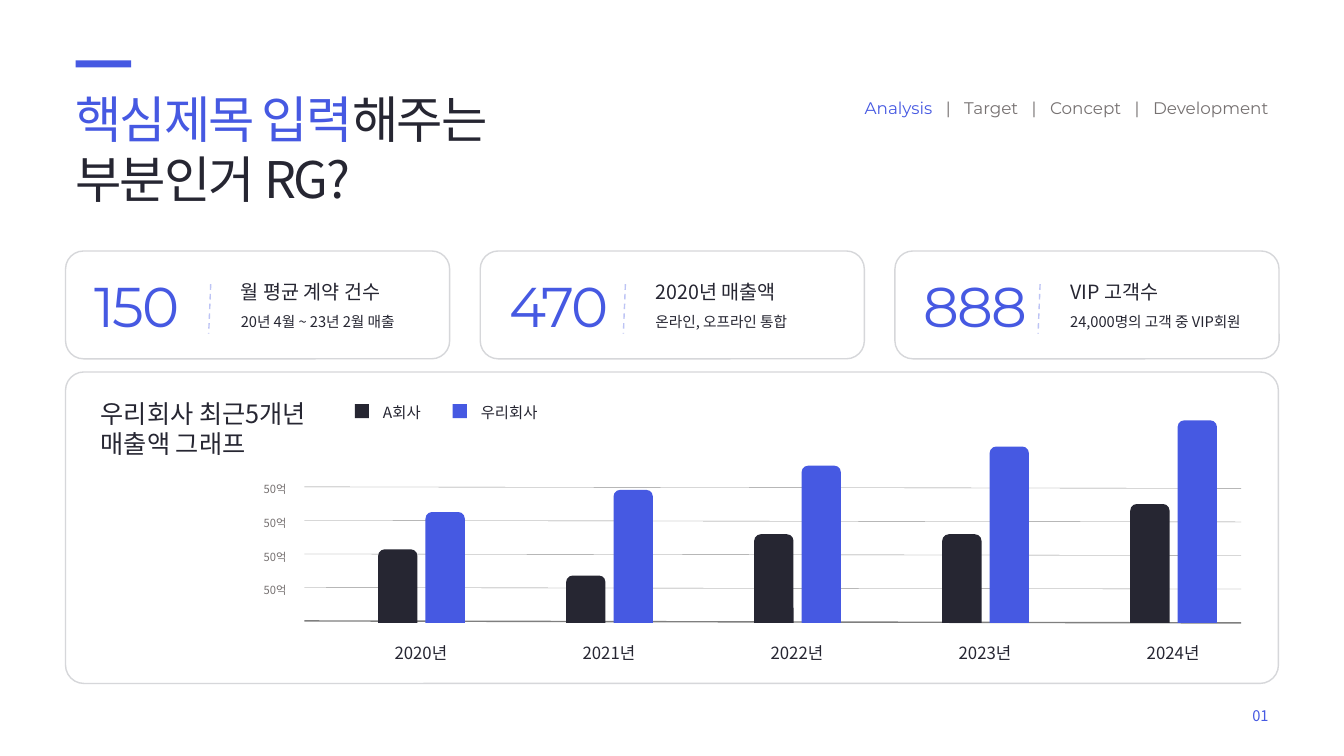
from pptx import Presentation
from pptx.dml.color import RGBColor
from pptx.enum.dml import MSO_LINE
from pptx.enum.shapes import MSO_CONNECTOR, MSO_SHAPE
from pptx.enum.text import MSO_ANCHOR, MSO_AUTO_SIZE, PP_ALIGN
from pptx.oxml.ns import qn
from pptx.util import Inches, Pt
from lxml.etree import SubElement

COLORS = {"blue": "4659E2", "dark": "262632", "gray": "767171", "edge": "D6D7DA",
          "rule": "7F7F7F", "dash": "BDC4F5", "white": "FFFFFF"}
RGB = {name: RGBColor.from_string(code) for name, code in COLORS.items()}
KOREAN = "Noto Sans CJK KR"
LATIN = "Montserrat"

deck = Presentation()
deck.slide_width = Inches(13.33)
deck.slide_height = Inches(7.5)
slide = deck.slides.add_slide(deck.slide_layouts[5])
shapes = slide.shapes


def write(area, lines, size, font=KOREAN, align=PP_ALIGN.LEFT, space=1.0, wrap=False, box=None):
    box = box or shapes.add_textbox(0, 0, 0, 0)
    box.left, box.top, box.width, box.height = [Inches(n) for n in area]
    frame = box.text_frame
    frame.word_wrap = wrap
    frame.auto_size = MSO_AUTO_SIZE.SHAPE_TO_FIT_TEXT
    frame.vertical_anchor = MSO_ANCHOR.TOP
    for row, parts in enumerate(lines):
        para = frame.add_paragraph() if row else frame.paragraphs[0]
        para.alignment = align
        para.line_spacing = space
        for text, color, gap in parts:
            run = para.add_run()
            run.text = text
            run.font.size = Pt(size)
            run.font.name = font
            run.font.color.rgb = RGB[color]
            props = run.font._element
            SubElement(props, qn("a:ea")).set("typeface", font)
            if gap:
                props.set("spc", str(gap))


def draw(kind, area, fill=None, edge=None):
    shape = shapes.add_shape(kind, *[Inches(n) for n in area])
    shape.shadow.inherit = False
    if fill:
        shape.fill.solid()
        shape.fill.fore_color.rgb = RGB[fill]
    else:
        shape.fill.background()
    if edge:
        shape.line.color.rgb = RGB[edge]
        shape.line.width = Pt(1)
    else:
        shape.line.fill.background()
    return shape


write((0.65, 0.82, 4.5, 1.31),
      [[("핵심제목 입력", "blue", -150), ("해주는", "dark", -150)],
       [("부분인거 RG?", "dark", -150)]], 36, box=shapes.title)
draw(MSO_SHAPE.RECTANGLE, (0.75, 0.6, 0.55, 0.07), "blue")

menu = [("Analysis", "blue", 0)]
for topic in ("Target", "Concept", "Development"):
    menu += [(" |", "gray", 640), (" " + topic, "gray", 0)]
write((8.3, 0.82, 4.38, 0.37), [menu], 12, LATIN, PP_ALIGN.RIGHT, 1.5)
write((12.31, 6.96, 0.37, 0.28), [[("01", "blue", 0)]], 10.5, align=PP_ALIGN.RIGHT)

panel = draw(MSO_SHAPE.ROUNDED_RECTANGLE, (0.65, 3.69, 12.03, 3.09), edge="edge")
panel.adjustments[0] = 0.059

rules = [(3.02, 6.16, 12.31, 6.18, "rule", 1)]
for step in range(4):
    high = 4.83 + 0.333 * step
    rules.append((3.02, high, 12.31, high + 0.015, "rule", 0.25))
    write((2.46, high - 0.13, 0.48, 0.27), [[("50억", "gray", 0)]], 8,
          align=PP_ALIGN.RIGHT, space=1.3, wrap=True)

cards = [("150", 1.09, "월 평균 계약 건수", 1.69, "20년 4월 ~ 23년 2월 매출"),
         ("470", 1.27, "2020년 매출액", 1.55, "온라인, 오프라인 통합"),
         ("888", 1.26, "VIP 고객수", 1.2, "24,000명의 고객 중 VIP회원")]
for col, (count, wide, head, span, note) in enumerate(cards):
    left = 0.65 + 4.113 * col
    draw(MSO_SHAPE.ROUNDED_RECTANGLE, (left, 2.49, 3.81, 1.07), "white", "edge")
    write((left + 0.19, 2.64, wide, 0.77), [[(count, "blue", -150)]], 40, LATIN)
    write((left + 1.64, 2.73, span, 0.34), [[(head, "dark", 0)]], 14)
    write((left + 1.64, 3, 2.17, 0.33), [[(note, "dark", 0)]], 10.5, space=1.3, wrap=True)
    rules.append((left + 1.44, 2.82, left + 1.42, 3.31, "dash", 1))

for x1, y1, x2, y2, color, width in rules:
    rule = shapes.add_connector(MSO_CONNECTOR.STRAIGHT, Inches(x1), Inches(y1),
                                Inches(x2), Inches(y2))
    rule.line.color.rgb = RGB[color]
    rule.line.width = Pt(width)
    props = rule._element.spPr
    if color == "dash":
        rule.line.dash_style = MSO_LINE.DASH
    if width < 1:
        SubElement(props.find(".//" + qn("a:srgbClr")), qn("a:alpha")).set("val", "85000")
    SubElement(props, qn("a:effectLst"))

sales = {"2020년": (0.73, 1.1), "2021년": (0.47, 1.32), "2022년": (0.88, 1.56),
         "2023년": (0.88, 1.75), "2024년": (1.18, 2.01)}
for col, (year, pair) in enumerate(sales.items()):
    left = 3.75 + 1.865 * col
    for side, (tall, color) in enumerate(zip(pair, ("dark", "blue"))):
        draw(MSO_SHAPE.ROUND_2_SAME_RECTANGLE,
             (left + 0.47 * side, 6.18 - tall, 0.39, tall), color)
    write((left - 0.03, 6.27, 0.91, 0.35), [[(year, "dark", 0)]], 12,
          align=PP_ALIGN.CENTER, space=1.3, wrap=True)

write((0.9, 3.9, 2.39, 0.71),
      [[("우리회사 최근5개년", "dark", 0)], [("매출액 그래프", "dark", 0)]], 18)
for left, firm, color in ((3.52, "A회사", "dark"), (4.49, "우리회사", "blue")):
    draw(MSO_SHAPE.RECTANGLE, (left, 4.01, 0.14, 0.14), color)
    write((left + 0.18, 3.9, 0.91, 0.33), [[(firm, "dark", 0)]], 11, space=1.3, wrap=True)

deck.save("out.pptx")
